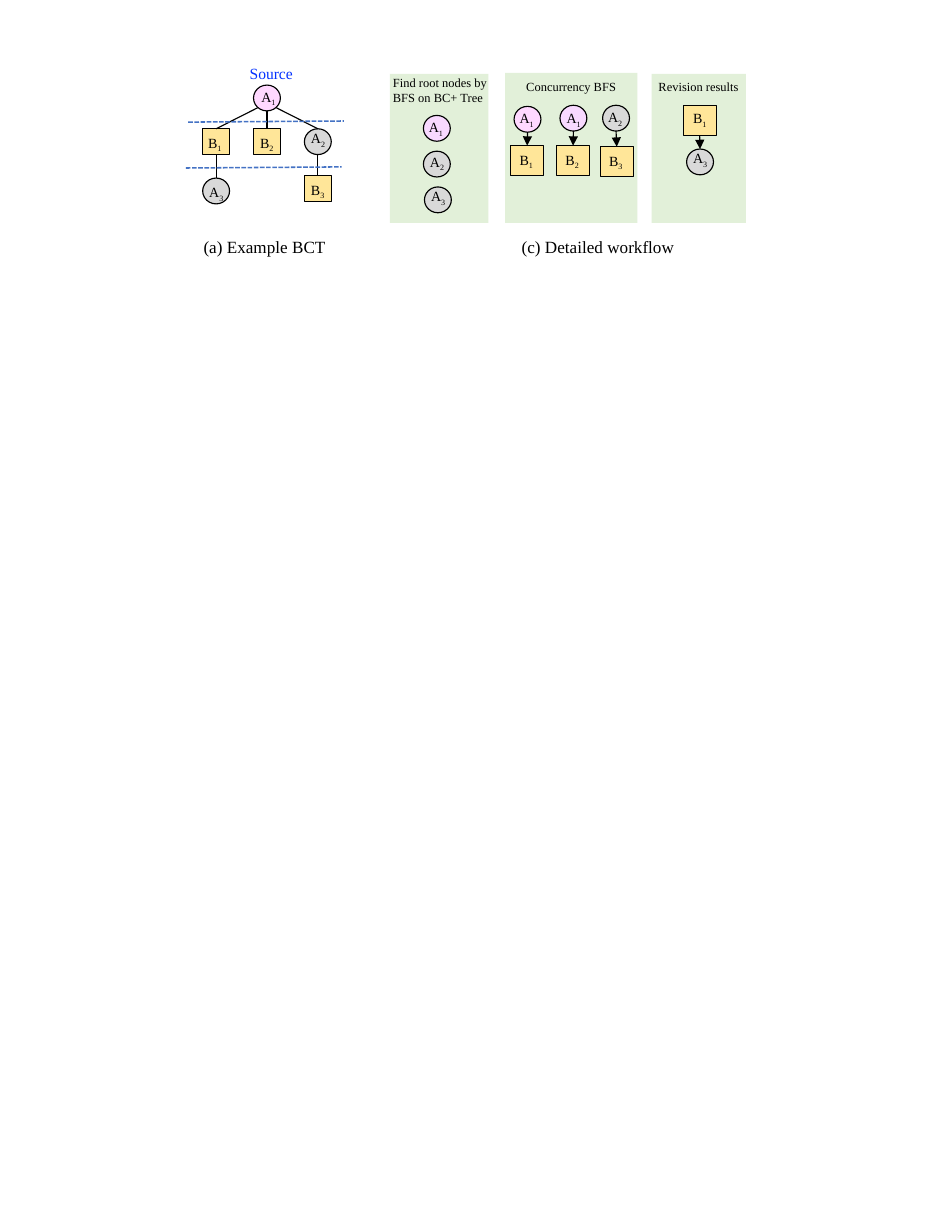
from dataclasses import dataclass

from lxml import etree
from pptx import Presentation
from pptx.dml.color import RGBColor
from pptx.enum.dml import MSO_LINE
from pptx.enum.shapes import MSO_CONNECTOR, MSO_SHAPE
from pptx.enum.text import MSO_AUTO_SIZE
from pptx.oxml.ns import qn
from pptx.util import Pt

BLACK = RGBColor(0x00, 0x00, 0x00)
BLUE = RGBColor(0x04, 0x32, 0xFF)
DASH_BLUE = RGBColor(0x44, 0x72, 0xC4)
GREEN = RGBColor(0xE2, 0xF0, 0xD9)
YELLOW = RGBColor(0xFF, 0xE6, 0x99)
PINK = RGBColor(0xFF, 0xD8, 0xFF)
LILAC = RGBColor(0xF8, 0xD9, 0xFF)
GRAY = RGBColor(0xD9, 0xD9, 0xD9)
FONT = "Times New Roman"
SMALL = (17.3, 16.6)
LARGE = (21.2, 19.4)


@dataclass
class Node:
    name: str
    x: float
    y: float
    fill: RGBColor
    dx: float = -2.9  # label offset from the node's corner
    dy: float = 0
    size: tuple[float, float] = SMALL

    @property
    def is_block(self) -> bool:
        return self.name.startswith("B")


@dataclass
class Link:
    parent: str
    child: str
    arrow: bool = False
    dx: float = 0  # start offset from the parent's bottom middle
    dy: float = 0


@dataclass
class Caption:
    text: str
    x: float
    y: float
    w: float
    h: float
    size: float
    color: RGBColor = BLACK


# Tree columns and rows
LEFT, MID, RIGHT = (130.3 + 32.7 * i for i in range(3))
ROW = 82.8

NODES = {
    # Example tree
    "root": Node("A1", MID, 54.7, PINK, -2.1, -1.4),
    "left": Node("B1", LEFT, ROW, YELLOW, -3.6),
    "mid": Node("B2", MID, ROW, YELLOW),
    "right": Node("A2", RIGHT, ROW, GRAY, dy=-2.9),
    "left leaf": Node("A3", LEFT, 114.5, GRAY),
    "right leaf": Node("B3", RIGHT, 113, YELLOW),
    # Root nodes
    "found 1": Node("A1", 272.2, 74.2, LILAC, -3.6, -1.4),
    "found 2": Node("A2", 272.2, 97.2, GRAY, dy=-2.2),
    "found 3": Node("A3", 272.9, 120.2, GRAY, dy=-2.9),
    # Concurrent searches
    "start 1": Node("A1", 330.5, 68.4, PINK, -3.6, -1.4),
    "start 2": Node("A1", 360, 67.7, LILAC, dy=-0.7),
    "start 3": Node("A2", 387.4, 67.7, GRAY, -3.6, -1.4),
    "block 1": Node("B1", 328.3, 93.6, YELLOW, -1.4, size=LARGE),
    "block 2": Node("B2", 357.8, 93.6, YELLOW, -1.4, size=LARGE),
    "block 3": Node("B3", 385.9, 94.3, YELLOW, -1.4, size=LARGE),
    # Revision
    "revised block": Node("B1", 439.2, 67.7, YELLOW, -0.7, -0.7, LARGE),
    "revised leaf": Node("A3", 441.4, 95.8, GRAY, dy=-2.9),
}

LINKS = [
    Link("root", "left", dx=-6, dy=-2),
    Link("root", "mid"),
    Link("root", "right", dx=6, dy=-2),
    Link("left", "left leaf"),
    Link("right", "right leaf"),
    *(Link(f"start {i}", f"block {i}", arrow=True) for i in (1, 2, 3)),
    Link("revised block", "revised leaf", arrow=True),
]

PANELS = [(324.7, 46.8, 85, 96.5), (250.6, 47.5, 63.4, 95.8), (419, 47.5, 60.5, 95.8)]

LEVEL_LINES = [(121, 78.5, 221, 77.8), (119.5, 108, 219.6, 107.3)]

CAPTIONS = [
    Caption("(a) Example BCT", 123.8, 148.3, 139, 20.9, 11),
    Caption("(c) Detailed workflow", 328.3, 148.3, 139, 20.9, 11),
    Caption("Find root nodes by BFS on BC+ Tree", 245.5, 44.6, 75.6, 26.6, 8),
    Caption("Concurrency BFS", 331.2, 47.5, 75.6, 17.3, 8),
    Caption("Revision results", 416.2, 47.5, 75.6, 17.3, 8),
    Caption("Source", 153.4, 37.4, 49, 19.4, 10, BLUE),
]


def add_box(s, kind, x: float, y: float, w: float, h: float, fill: RGBColor, outlined: bool):
    sp = s.shapes.add_shape(kind, Pt(x), Pt(y), Pt(w), Pt(h))
    sp.shadow.inherit = False
    sp.fill.solid()
    sp.fill.fore_color.rgb = fill
    if outlined:
        sp.line.color.rgb = BLACK
        sp.line.width = Pt(0.75)
    else:
        sp.line.fill.background()
    return sp


def add_node(s, n: Node):
    kind = MSO_SHAPE.RECTANGLE if n.is_block else MSO_SHAPE.OVAL
    return add_box(s, kind, n.x, n.y, *n.size, n.fill, True)


def add_line(s, x1: float, y1: float, x2: float, y2: float, color: RGBColor, width: float):
    cx = s.shapes.add_connector(MSO_CONNECTOR.STRAIGHT, Pt(x1), Pt(y1), Pt(x2), Pt(y2))
    cx.line.color.rgb = color
    cx.line.width = Pt(width)
    etree.SubElement(cx._element.spPr, qn("a:effectLst"))
    return cx


def add_link(s, link: Link, shapes: dict) -> None:
    a, b = NODES[link.parent], NODES[link.child]
    x = a.x + a.size[0] / 2 + link.dx
    y = a.y + a.size[1] + link.dy
    cx = add_line(s, x, y, b.x + b.size[0] / 2, b.y, BLACK, 0.75)
    if a.is_block:
        cx.begin_connect(shapes[link.parent], 2)
    cx.end_connect(shapes[link.child], 0)
    if link.arrow:
        etree.SubElement(cx.line._get_or_add_ln(), qn("a:tailEnd"), type="triangle")


def add_text(s, c: Caption, subscript: str = "") -> None:
    tf = s.shapes.add_textbox(Pt(c.x), Pt(c.y), Pt(c.w), Pt(c.h)).text_frame
    tf.word_wrap = True
    tf.auto_size = MSO_AUTO_SIZE.SHAPE_TO_FIT_TEXT
    p = tf.paragraphs[0]
    for text in filter(None, (c.text, subscript)):
        r = p.add_run()
        r.text = text
        for key, value in {"name": FONT, "size": Pt(c.size)}.items():
            setattr(r.font, key, value)
        r.font.color.rgb = c.color
    if subscript:
        r._r.get_or_add_rPr().set("baseline", "-25000")


def main() -> None:
    prs = Presentation()
    prs.slide_width, prs.slide_height = Pt(612), Pt(792)
    s = prs.slides.add_slide(prs.slide_layouts[6])

    # Workflow panels
    for panel in PANELS:
        add_box(s, MSO_SHAPE.RECTANGLE, *panel, GREEN, False)

    # Nodes and their links
    shapes = {key: add_node(s, n) for key, n in NODES.items()}
    for link in LINKS:
        add_link(s, link, shapes)

    # Level separators
    for ends in LEVEL_LINES:
        add_line(s, *ends, DASH_BLUE, 1).line.dash_style = MSO_LINE.SQUARE_DOT

    # Captions and node labels
    for c in CAPTIONS:
        add_text(s, c)
    for n in NODES.values():
        letter, number = n.name
        add_text(s, Caption(letter, n.x + n.dx, n.y + n.dy, 27.4, 41, 9), number)

    prs.save("out.pptx")


if __name__ == "__main__":
    main()
